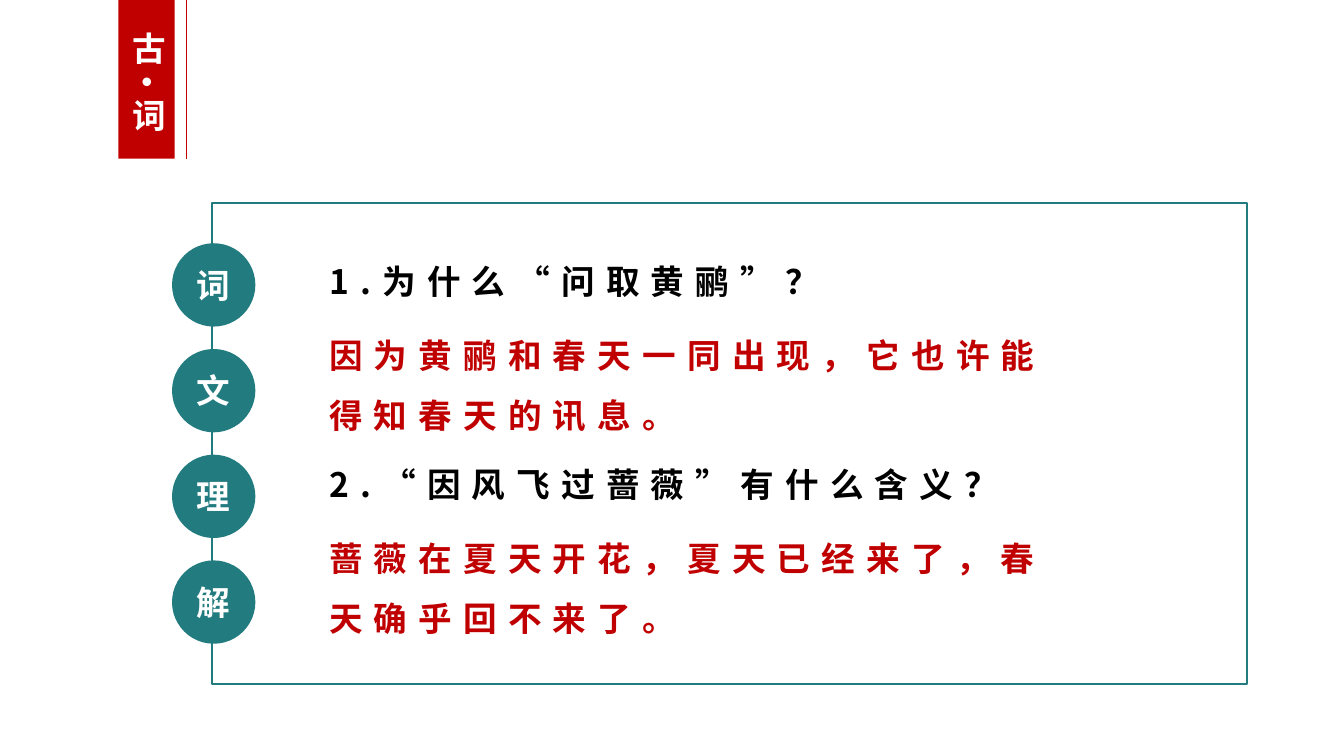
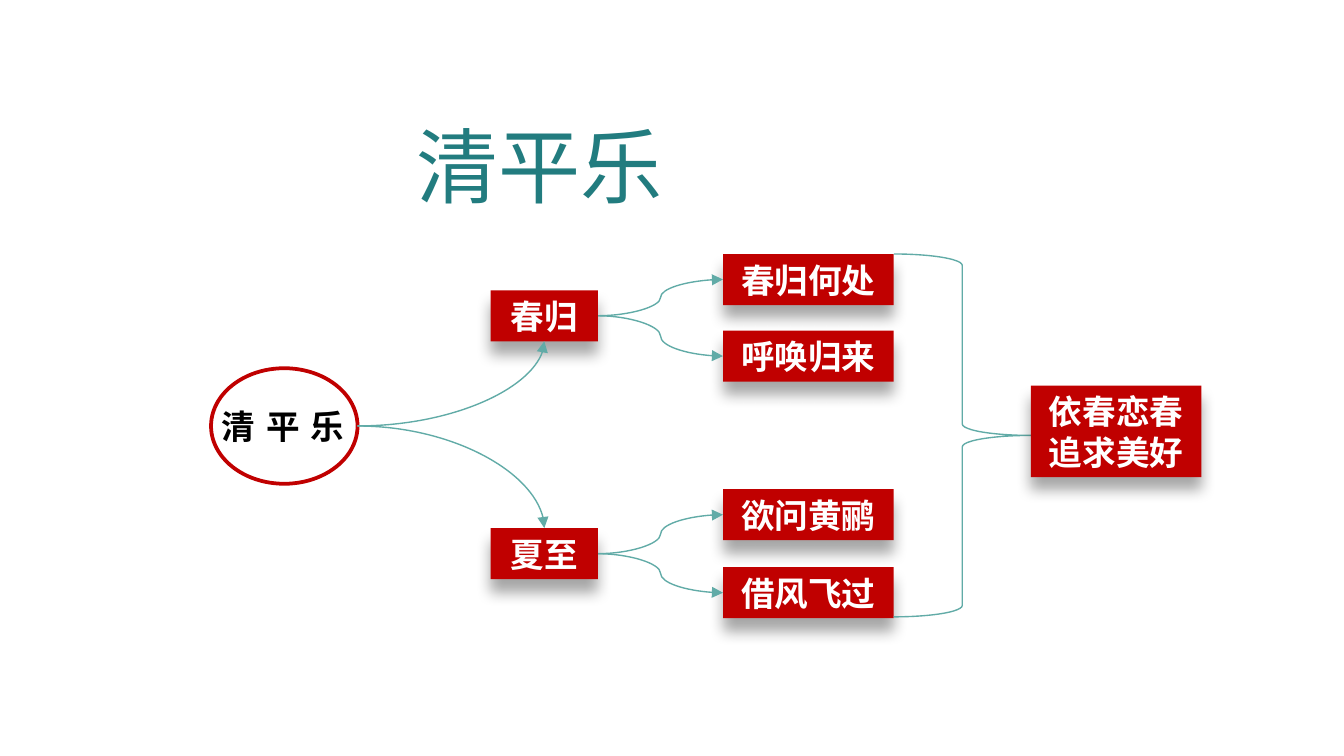
from dataclasses import dataclass

from lxml.etree import SubElement
from pptx import Presentation
from pptx.dml.color import RGBColor
from pptx.enum.shapes import MSO_CONNECTOR, MSO_SHAPE
from pptx.enum.text import MSO_ANCHOR, MSO_AUTO_SIZE, PP_ALIGN
from pptx.oxml.ns import qn
from pptx.util import Inches, Pt


@dataclass(frozen=True)
class Theme:
    red: RGBColor = RGBColor.from_string("C00000")
    teal: RGBColor = RGBColor.from_string("227C7F")
    pale_teal: RGBColor = RGBColor.from_string("61ABA7")
    black: RGBColor = RGBColor.from_string("000000")
    white: RGBColor = RGBColor.from_string("FFFFFF")
    font: str = "Noto Sans CJK SC"
    title_font: str = "Noto Sans CJK JP"
    body_size: int = 18
    title_size: int = 44
    wide_spacing: int = 6
    thin: float = 0.75
    thick: float = 2


THEME = Theme()


def inches(*lengths):
    return [Inches(length) for length in lengths]


def write(shape, text, color, size=THEME.body_size, font=THEME.font, bold=True,
          align=PP_ALIGN.CENTER, spacing=0, line_spacing=None, space_before=0,
          wrap=True, anchor=MSO_ANCHOR.TOP, margins=(0.1, 0.05)):
    """Fill a shape with text, one paragraph per line; spacing is between letters."""
    frame = shape.text_frame
    frame.text = text
    frame.word_wrap = wrap
    frame.auto_size = MSO_AUTO_SIZE.SHAPE_TO_FIT_TEXT
    frame.vertical_anchor = anchor
    frame.margin_left = frame.margin_right = Inches(margins[0])
    frame.margin_top = frame.margin_bottom = Inches(margins[1])
    for paragraph in frame.paragraphs:
        paragraph.alignment = align
        paragraph.line_spacing = line_spacing
        paragraph.space_before = Pt(space_before)
        paragraph.font.name = font
        paragraph.font.size = Pt(size)
        paragraph.font.bold = bold
        paragraph.font.color.rgb = color
        properties = paragraph._p.pPr.find(qn("a:defRPr"))
        SubElement(properties, qn("a:ea"), typeface=font)
        if spacing:
            properties.set("spc", str(spacing * 100))


def add_text(shapes, box, text, color, **style):
    text_box = shapes.add_textbox(*inches(*box))
    write(text_box, text, color, **style)
    return text_box


def add_shape(shapes, kind, box, fill=None, line=None, line_width=THEME.thin):
    shape = shapes.add_shape(kind, *inches(*box))
    shape.shadow.inherit = False
    if fill is None:
        shape.fill.background()
    else:
        shape.fill.solid()
        shape.fill.fore_color.rgb = fill
    if line is None:
        shape.line.fill.background()
    else:
        shape.line.color.rgb = line
        shape.line.width = Pt(line_width)
    return shape


def add_line(shapes, kind, start, end, color):
    line = shapes.add_connector(kind, *inches(*start, *end))
    line.line.color.rgb = color
    line.line.width = Pt(THEME.thin)
    SubElement(line._element.spPr, qn("a:effectLst"))
    return line


def add_card(shapes, box, text):
    """Red box with white text and a soft shadow below."""
    card = add_shape(shapes, MSO_SHAPE.RECTANGLE, box, fill=THEME.red)
    effects = card._element.spPr.find(qn("a:effectLst"))
    shadow = SubElement(effects, qn("a:outerShdw"), blurRad=str(Pt(8)),
                        dist=str(Pt(7)), dir="5400000", algn="t", rotWithShape="0")
    color = SubElement(shadow, qn("a:srgbClr"), val=str(THEME.black))
    SubElement(color, qn("a:alpha"), val="35000")
    write(card, text, THEME.white, anchor=MSO_ANCHOR.MIDDLE, margins=(0.07, 0.04))
    return card


def add_curve(shapes, source, target, target_site):
    """Curved arrow from the right side of source to a side of target."""
    curve = add_line(shapes, MSO_CONNECTOR.CURVE, (0, 0), (1, 1), THEME.pale_teal)
    curve.begin_connect(source, 3)
    curve.end_connect(target, target_site)
    SubElement(curve.line._get_or_add_ln(), qn("a:tailEnd"), type="triangle")
    return curve


def add_banner(slide, box, text):
    left, top, width, height = box
    shapes = slide.shapes.add_group_shape().shapes
    add_shape(shapes, MSO_SHAPE.RECTANGLE, box, fill=THEME.red)
    rule_x = left + width + 0.09
    add_line(shapes, MSO_CONNECTOR.STRAIGHT, (rule_x, top), (rule_x, top + height), THEME.red)
    label = add_text(shapes, (left - 0.08, top + 0.14, 0.5, 1.07), text, THEME.white)
    label.text_frame._txBody.bodyPr.set("vert", "eaVert")


def add_badges(slide, box, text):
    """Column of discs, one letter each, spread over the height of the box."""
    left, top, diameter, height = box
    label_width, label_height = 0.45, 0.4
    pitch = (height - diameter) / (len(text) - 1)
    shapes = slide.shapes.add_group_shape().shapes
    for index, letter in enumerate(text):
        y = top + index * pitch
        add_shape(shapes, MSO_SHAPE.OVAL, (left, y, diameter, diameter), fill=THEME.teal)
        label = add_shape(shapes, MSO_SHAPE.RECTANGLE,
                          (left + (diameter - label_width) / 2,
                           y + (diameter - label_height) / 2, label_width, label_height),
                          fill=THEME.teal)
        write(label, letter, THEME.white, wrap=False)


def add_questions(slide, box):
    left, top, width, height = box
    add_shape(slide.shapes, MSO_SHAPE.RECTANGLE, box, line=THEME.teal, line_width=1)
    lines = (
        (0.23, 4.01, 0.48, THEME.black, "1.为什么“问取黄鹂”？"),
        (0.78, 5.84, 0.94, THEME.red, "因为黄鹂和春天一同出现，它也许能得知春天的讯息。"),
        (1.74, 5.29, 0.56, THEME.black, "2.“因风飞过蔷薇”有什么含义？"),
        (2.29, 5.84, 0.94, THEME.red, "蔷薇在夏天开花，夏天已经来了，春天确乎回不来了。"),
    )
    for index, (offset, text_width, text_height, color, text) in enumerate(lines):
        add_text(slide.shapes, (left + 0.77, top + offset, text_width, text_height), text, color,
                 align=PP_ALIGN.LEFT, spacing=THEME.wide_spacing, line_spacing=1.5,
                 space_before=3.6 if index else 0, wrap=index > 0)


def add_mind_map(slide, box):
    left, top, width, height = box
    shapes = slide.shapes
    card_height, leaf_width = 0.38, 1.27
    leaf_x = left + 3.81

    add_text(shapes, (left - 0.07, top + 1.08, 1.21, 0.71), "清平乐", THEME.black,
             spacing=THEME.wide_spacing, space_before=3.6)
    root = add_shape(shapes, MSO_SHAPE.OVAL, (left, top + 0.85, 1.09, 0.86),
                     line=THEME.red, line_width=THEME.thick)

    branches = (
        ("春归", 0.27, 2, (("春归何处", 0), ("呼唤归来", 0.57))),
        ("夏至", 2.04, 0, (("欲问黄鹂", 1.75), ("借风飞过", 2.33))),
    )
    for name, offset, root_side, leaves in branches:
        branch = add_card(shapes, (left + 2.08, top + offset, 0.8, card_height), name)
        curve = add_curve(shapes, root, branch, root_side)
        curve._element.spPr.find(qn("a:prstGeom")).set("prst", "curvedConnector2")
        # An ellipse numbers its right-hand connection site 6.
        curve._element.find(".//" + qn("a:stCxn")).set("idx", "6")
        for leaf_name, leaf_offset in leaves:
            leaf = add_card(shapes, (leaf_x, top + leaf_offset, leaf_width, card_height), leaf_name)
            add_curve(shapes, branch, leaf, 1)

    add_shape(shapes, MSO_SHAPE.RIGHT_BRACE, (leaf_x + leaf_width, top, 1.02, height),
              line=THEME.pale_teal)
    add_card(shapes, (left + width - leaf_width, top + 0.98, leaf_width, 0.68),
             "依春恋春\n追求美好")


def build_question_slide(slide):
    add_banner(slide, (0.88, 0, 0.42, 1.18), "古·词")
    add_questions(slide, (1.58, 1.51, 7.7, 3.58))
    add_badges(slide, (1.28, 1.81, 0.62, 2.98), "词文理解")


def build_mind_map_slide(slide):
    add_text(slide.shapes, (3, 0.81, 4.01, 0.84), "清平乐", THEME.teal, size=THEME.title_size,
             font=THEME.title_font, bold=False, align=PP_ALIGN.JUSTIFY)
    add_mind_map(slide, (1.57, 1.89, 7.37, 2.7))


def main():
    presentation = Presentation()
    presentation.slide_width = Inches(10)
    presentation.slide_height = Inches(10 * 9 / 16)
    blank = presentation.slide_layouts[6]
    for build in (build_question_slide, build_mind_map_slide):
        build(presentation.slides.add_slide(blank))
    presentation.save("out.pptx")


if __name__ == "__main__":
    main()
